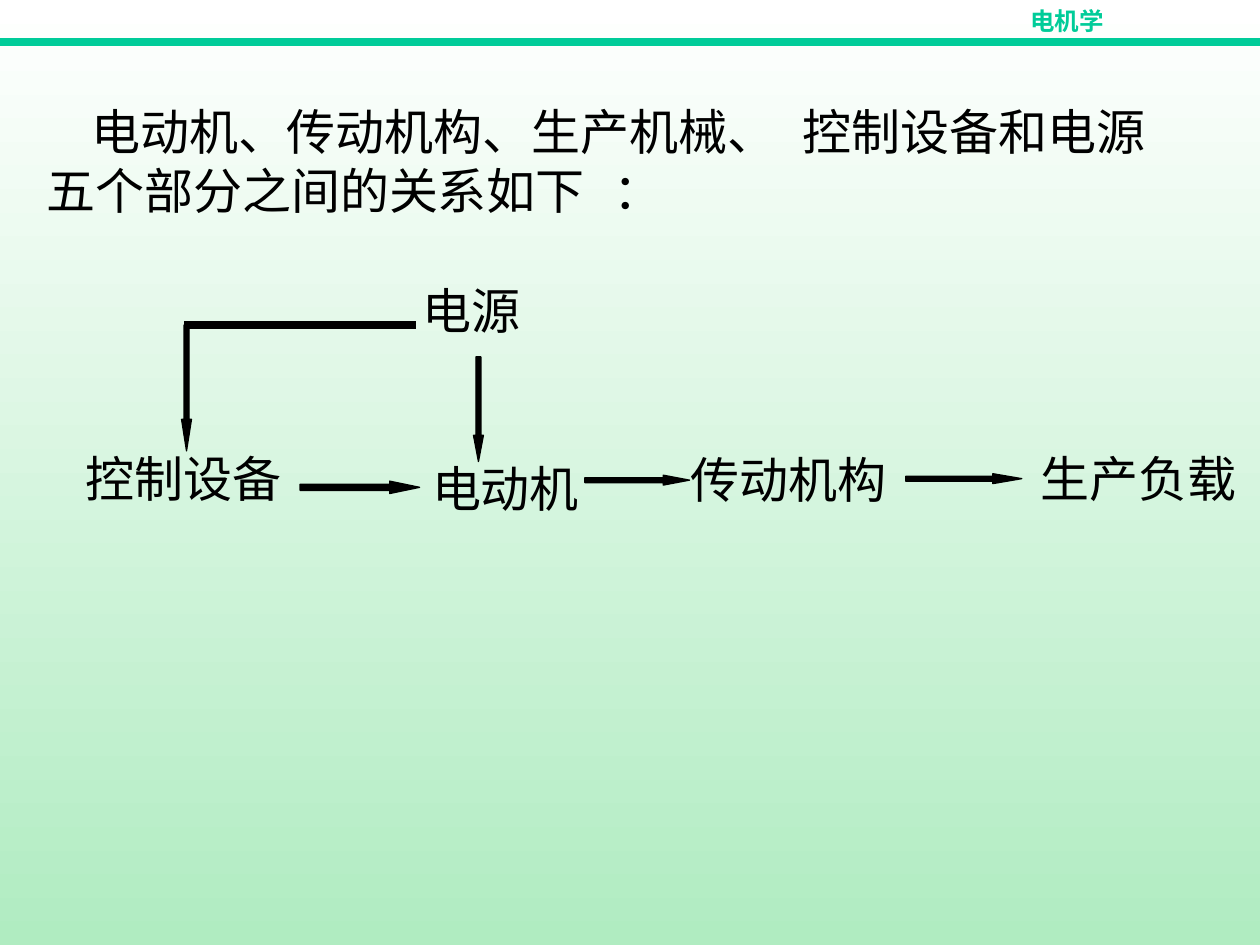
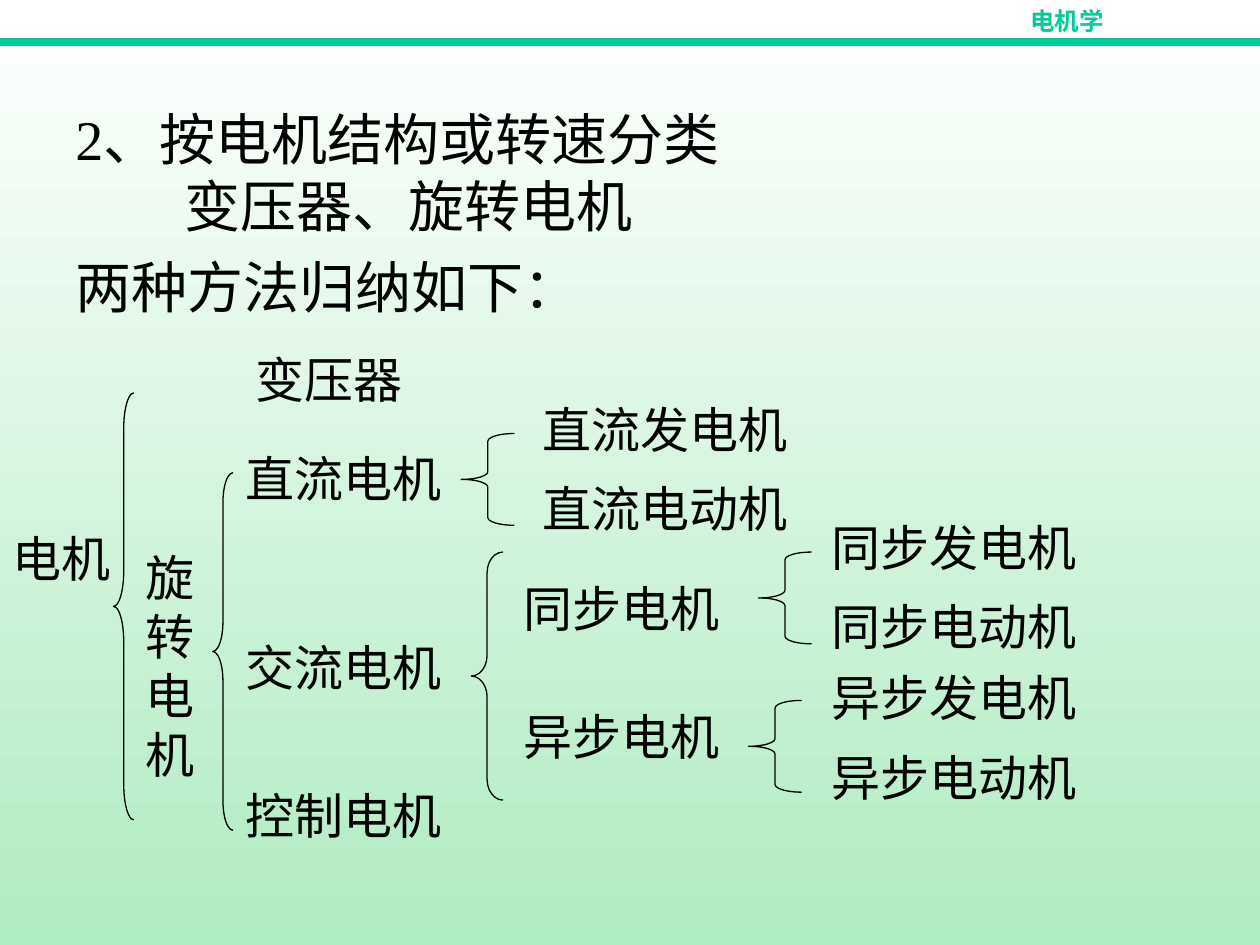
"""Build two slides on electric machines: a drive system and a family tree."""
from lxml.etree import SubElement as Sub
from pptx import Presentation
from pptx.dml.color import RGBColor as Rgb
from pptx.enum.shapes import MSO_CONNECTOR as Link, MSO_SHAPE as Kind
from pptx.oxml.ns import qn
from pptx.util import Cm, Pt

BLACK = Rgb(0x00, 0x00, 0x00)
WHITE = Rgb(0xFF, 0xFF, 0xFF)
TEAL = Rgb(0x00, 0xCC, 0x99)
MINT = Rgb(0xB0, 0xEC, 0xC1)
SERIF, SANS = "Times New Roman", "Arial"

HEAD = dict(name=SERIF, size=Pt(14), bold=True)
NOTE = dict(name=SERIF, size=Pt(28))
LEAF = dict(name=SANS, size=Pt(28))
BODY = dict(name=SERIF, size=Pt(32))
ROW = 1.45

INTRO = [
    ("电动机、传动机构、生产机械、\t控制设备和电源五个部分", NOTE),
    ("之间的关系如下\t：", LEAF),
]
STOPS = [11.4, 15.14]

PARTS = [
    ("电源", 8.26, 5.54, 4.24),
    ("控制设备", 1.47, 8.92, 4.83),
    ("电动机", 8.46, 9.12, 4.06),
    ("传动机构", 13.67, 8.94, 4.85),
    ("生产负载", 20.73, 8.92, 4.67),
]
ARROWS = [
    (6.05, 9.7, 2.41, 0.25, 0),
    (11.79, 9.58, 2.11, 0.2, 0),
    (18.26, 9.55, 2.34, 0.2, 0),
    (8.59, 8.15, 2.11, 0.2, 90),
    (2.49, 7.72, 2.54, 0.2, 90),
]

POINTS = [
    ("2、按电机结构或转速分类", 0.95, -0.95, 0),
    ("变压器、旋转电机", 2.2, 0, 0),
    ("两种方法归纳如下：", 0.95, -0.95, 8),
]
TREE = [
    ("电机", 0, 10.52, 2.64),
    ("变压器", 4.9, 6.93, 5.36),
    ("直流电机", 4.7, 8.92, 5.08),
    ("交流电机", 4.7, 12.73, 4.5),
    ("控制电机", 4.7, 15.72, 5.18),
    ("直流发电机", 10.69, 7.92, 6.2),
    ("直流电动机", 10.69, 9.53, 5.46),
    ("同步电机", 10.31, 11.53, 4.7),
    ("异步电机", 10.31, 14.12, 4.62),
    ("同步发电机", 16.51, 10.31, 5.61),
    ("同步电动机", 16.51, 11.91, 5.79),
    ("异步发电机", 16.51, 13.34, 5.79),
    ("异步电动机", 16.51, 14.94, 6.6),
]
BRACES = [
    (2.29, 7.92, 0.41, 8.61),
    (4.29, 9.53, 0.41, 7.21),
    (9.3, 8.74, 1.07, 1.85),
    (9.5, 11.13, 0.64, 5),
    (15.29, 11.13, 1.07, 1.85),
    (15.09, 14.12, 1.07, 1.85),
]


def write(para, text, form, color=BLACK):
    run = para.add_run()
    run.text = text
    for key, val in form.items():
        setattr(run.font, key, val)
    run.font.color.rgb = color


def add_box(slide, *area):
    frame = slide.shapes.add_textbox(*map(Cm, area)).text_frame
    frame.word_wrap = True
    return frame


def add_label(slide, text, x, y, wide, form, high=ROW, color=BLACK):
    write(add_box(slide, x, y, wide, high).paragraphs[0], text, form, color)


def add_line(slide, x1, x2, y, color):
    line = slide.shapes.add_connector(Link.STRAIGHT, Cm(x1), Cm(y), Cm(x2), Cm(y))
    line.line.color.rgb = color
    line.line.width = Pt(4.5)
    Sub(line._element.spPr, qn("a:effectLst"))


def add_form(slide, kind, area, ratios):
    form = slide.shapes.add_shape(kind, *map(Cm, area))
    form.shadow.inherit = False
    form.line.color.rgb = BLACK
    form.line.width = Pt(0.75)
    for i, ratio in enumerate(ratios):
        form.adjustments[i] = ratio
    return form


def add_page(deck):
    slide = deck.slides.add_slide(deck.slide_layouts[6])
    fill = slide.background.fill
    fill.gradient()
    fill.gradient_angle = 270
    for stop, color, place in zip(fill.gradient_stops, (WHITE, MINT), (0, 1)):
        stop.color.rgb = color
        stop.position = place
    add_line(slide, 0, 25.4, 0.84, TEAL)
    add_label(slide, "电机学", 20.52, 0, 3.81, HEAD, 0.86, TEAL)
    return slide


def draw_drive(slide):
    para = add_box(slide, 0.69, 1.93, 23.39, 2.64).paragraphs[0]
    props = para._p.get_or_add_pPr()
    props.set("indent", str(Cm(0.9)))
    tabs = Sub(props, qn("a:tabLst"))
    for stop in STOPS:
        Sub(tabs, qn("a:tab"), pos=str(Cm(stop)), algn="l")
    for text, form in INTRO:
        write(para, text, form)
    for part in PARTS:
        add_label(slide, *part, NOTE)
    for x, y, wide, high, turn in ARROWS:
        ratios = (0.5, wide / high / 4)
        arrow = add_form(slide, Kind.RIGHT_ARROW, (x, y, wide, high), ratios)
        arrow.fill.solid()
        arrow.fill.fore_color.rgb = BLACK
        arrow.rotation = turn
    add_line(slide, 3.71, 8.38, 6.55, BLACK)


def draw_tree(slide):
    frame = add_box(slide, 1.27, 1.98, 22.86, 15.04)
    for i, (text, left, hang, gap) in enumerate(POINTS):
        para = frame.add_paragraph() if i else frame.paragraphs[0]
        para.space_before = Pt(gap)
        props = para._p.get_or_add_pPr()
        props.set("marL", str(Cm(left)))
        props.set("indent", str(Cm(hang)))
        write(para, text, BODY)
    for node in TREE:
        add_label(slide, *node, LEAF)
    add_label(slide, "旋转电机", 2.69, 10.92, 1.4, NOTE, 5)
    for area in BRACES:
        ratios = (area[3] / area[2] / 12, 0.5)
        add_form(slide, Kind.LEFT_BRACE, area, ratios).fill.background()


def main():
    deck = Presentation()
    deck.slide_width, deck.slide_height = Cm(25.4), Cm(19.05)
    for draw in (draw_drive, draw_tree):
        draw(add_page(deck))
    deck.save("out.pptx")


if __name__ == "__main__":
    main()
